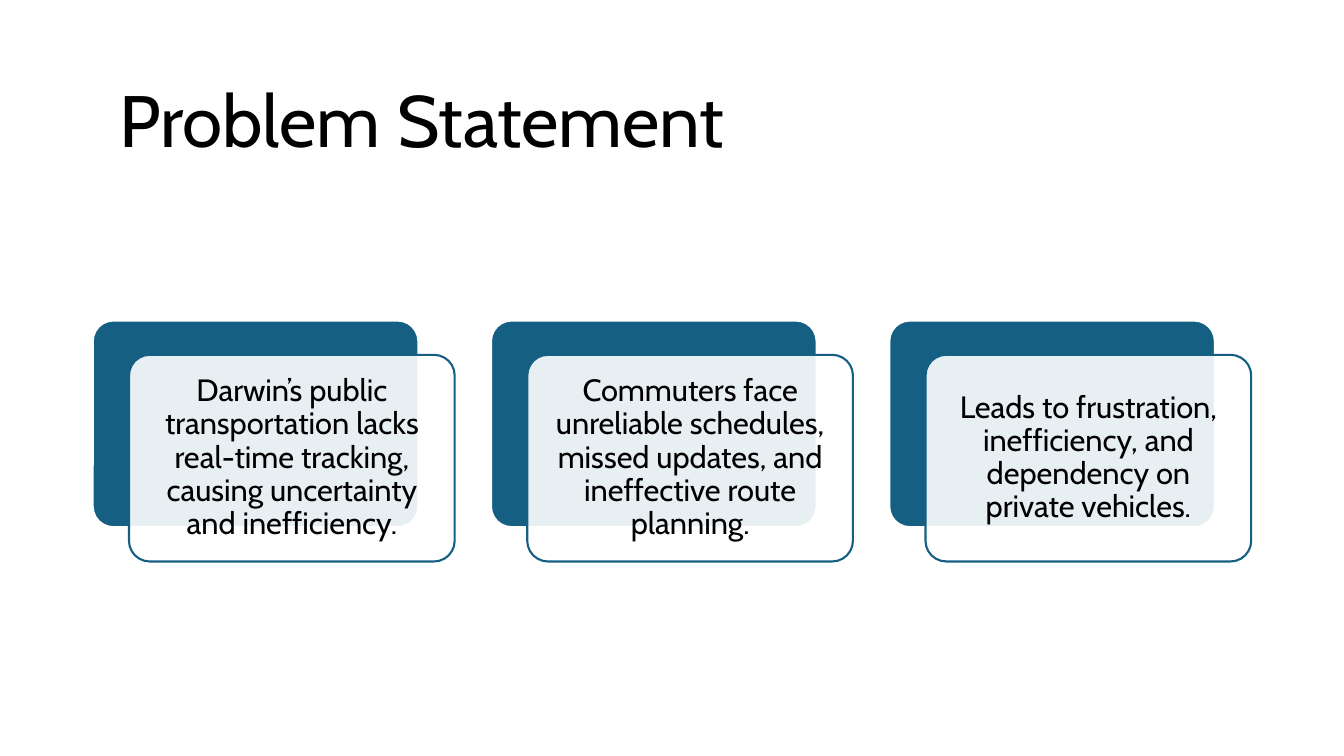
from dataclasses import dataclass

from lxml.etree import SubElement
from pptx import Presentation
from pptx.dml.color import RGBColor
from pptx.enum.shapes import MSO_SHAPE
from pptx.enum.text import MSO_ANCHOR, PP_ALIGN
from pptx.oxml.ns import qn
from pptx.slide import Slide
from pptx.util import Emu, Pt

SCALE = 9144
COLORS = {"teal": "156082", "white": "FFFFFF", "black": "000000"}
FONT = "Cabin"
LEFT, TOP, STEP = 92, 318, 395
WIDE, HIGH = 323, 205
SHIFT_X, SHIFT_Y = 36, 34
PAD = 6


@dataclass(frozen=True)
class Box:
    x: int
    y: int
    w: int
    h: int

    def emu(self) -> tuple[Emu, ...]:
        return tuple(Emu(n * SCALE) for n in (self.x, self.y, self.w, self.h))


@dataclass(frozen=True)
class Card:
    box: Box
    text: str


def color(name: str) -> RGBColor:
    return RGBColor.from_string(COLORS[name])


def add_panel(slide: Slide, box: Box, fill: str, line: str, alpha: int = 100) -> None:
    panel = slide.shapes.add_shape(MSO_SHAPE.ROUNDED_RECTANGLE, *box.emu())
    panel.adjustments[0] = 0.1
    panel.shadow.inherit = False
    panel.fill.solid()
    panel.fill.fore_color.rgb = color(fill)
    panel.line.color.rgb = color(line)
    panel.line.width = Pt(1.5)
    if alpha < 100:
        tint = panel.fill._xPr.find(qn("a:solidFill"))[0]
        SubElement(tint, qn("a:alpha"), val=str(alpha * 1000))


def add_text(slide: Slide, box: Box, text: str, size: int,
             align: PP_ALIGN, inset: tuple[int, int]) -> None:
    frame = slide.shapes.add_textbox(*box.emu()).text_frame
    frame.word_wrap = True
    frame.vertical_anchor = MSO_ANCHOR.MIDDLE
    frame.margin_left = frame.margin_right = Emu(inset[0] * SCALE)
    frame.margin_top = frame.margin_bottom = Emu(inset[1] * SCALE)
    para = frame.paragraphs[0]
    para.alignment = align
    para.line_spacing = 0.9
    run = para.add_run()
    run.text = text
    run.font.size = Pt(size)
    run.font.name = FONT
    run.font.color.rgb = color("black")


def add_card(slide: Slide, card: Card) -> None:
    back = card.box
    front = Box(back.x + SHIFT_X, back.y + SHIFT_Y, back.w, back.h)
    label = Box(front.x + PAD, front.y + PAD, front.w - 2 * PAD, front.h - 2 * PAD)
    add_panel(slide, back, "teal", "white")
    add_panel(slide, front, "white", "teal", 90)
    add_text(slide, label, card.text, 22, PP_ALIGN.CENTER, (9, 9))


def main() -> None:
    deck = Presentation()
    deck.slide_width = Emu(1333 * SCALE)
    deck.slide_height = Emu(750 * SCALE)
    slide = deck.slides.add_slide(deck.slide_layouts[6])
    add_text(slide, Box(92, 61, 1150, 124), " Problem Statement", 52,
             PP_ALIGN.LEFT, (10, 5))
    issues = (
        "Darwin’s public transportation lacks real-time tracking, "
        "causing uncertainty and inefficiency.",
        "Commuters face unreliable schedules, missed updates, "
        "and ineffective route planning.",
        "Leads to frustration, inefficiency, and dependency on private vehicles.",
    )
    for col, issue in enumerate(issues):
        add_card(slide, Card(Box(LEFT + col * STEP, TOP, WIDE, HIGH), issue))
    deck.save("out.pptx")


if __name__ == "__main__":
    main()
